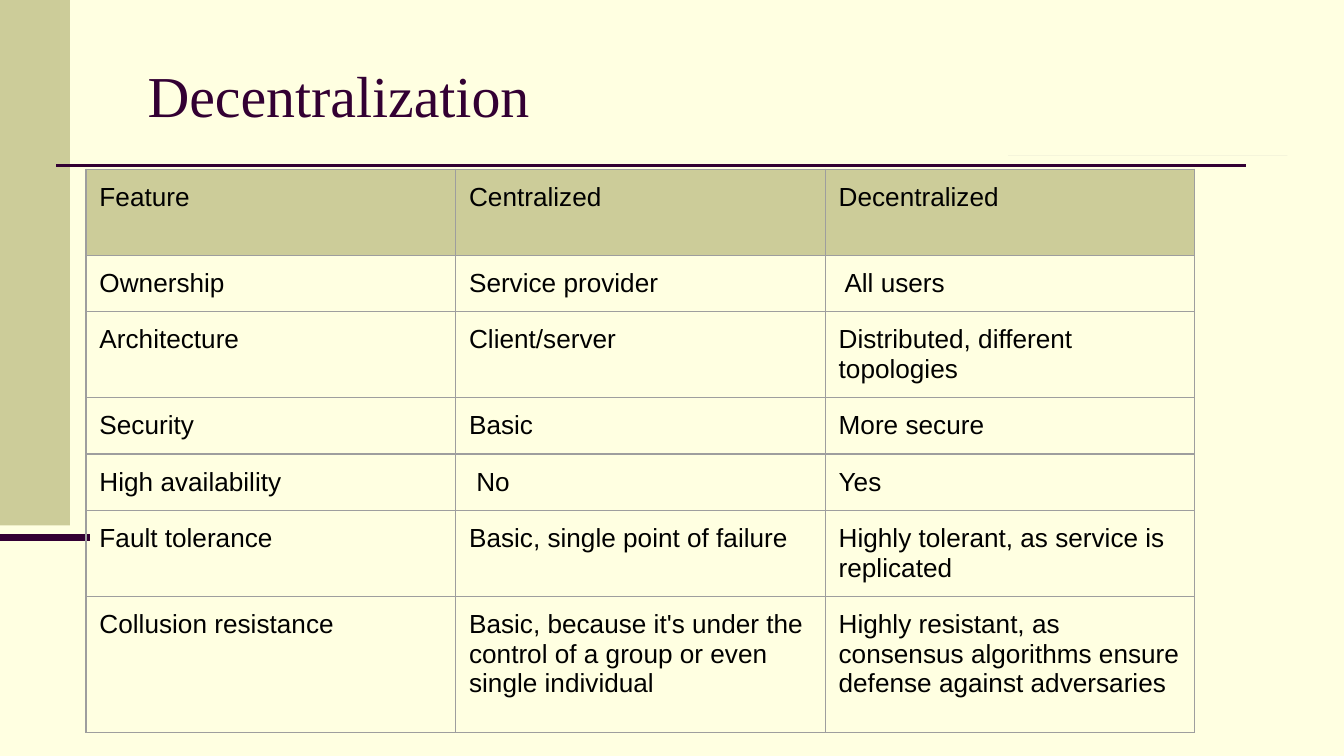
"""Build a slide comparing centralized and decentralized systems in a table."""
from lxml import etree
from pptx import Presentation
from pptx.dml.color import RGBColor
from pptx.enum.shapes import MSO_CONNECTOR, MSO_SHAPE
from pptx.enum.text import MSO_ANCHOR
from pptx.oxml.ns import qn
from pptx.util import Inches, Pt

RECTANGLE = MSO_SHAPE.RECTANGLE
STRAIGHT = MSO_CONNECTOR.STRAIGHT
MIDDLE = MSO_ANCHOR.MIDDLE

COLORS = {"cream": "FFFFE1", "khaki": "CCCC99", "silver": "B2B2B2",
          "plum": "330033", "border": "9E9E9E", "black": "000000"}

TITLE = "Decentralization"
ROWS = [
    ("Feature", "Centralized", "Decentralized"),
    ("Ownership", "Service provider", " All users"),
    ("Architecture", "Client/server", "Distributed, different topologies"),
    ("Security", "Basic", "More secure"),
    ("High availability", " No", "Yes"),
    ("Fault tolerance", "Basic, single point of failure",
     "Highly tolerant, as service is replicated"),
    ("Collusion resistance",
     "Basic, because it's under the control of a group or even single individual",
     "Highly resistant, as consensus algorithms ensure defense against adversaries"),
]
ROW_HEIGHTS = [0.64, 0.42, 0.64, 0.42, 0.42, 0.64, 1.01]
COLUMN_WIDTH = 2.75
TABLE_LEFT, TABLE_TOP = 0.64, 1.26

BANDS = [((0, 0, 0.52, 3.91), "khaki"), ((7.5, 1.16, 2.08, 0), "silver")]
RULES = [((0.42, 1.23, 9.27, 1.23), 1.5), ((0, 4, 0.67, 4), 3.5)]

TITLE_FONT = {"name": "Times New Roman", "size": Pt(31)}
CELL_FONT = {"name": "Arial", "size": Pt(14), "bold": False}
CELL_MARGINS = {"margin_left": Inches(0.1), "margin_right": Inches(0.1),
                "margin_top": Inches(0.1), "margin_bottom": Inches(0.07)}


def color(name):
    return RGBColor.from_string(COLORS[name])


def write(frame, text, font_format, color_name):
    para = frame.paragraphs[0]
    span = para.add_run()
    span.text = text
    for key, value in font_format.items():
        setattr(span.font, key, value)
    span.font.color.rgb = color(color_name)
    ending = etree.SubElement(para._p, qn("a:endParaRPr"),
                              sz=str(int(font_format["size"].pt * 100)))
    etree.SubElement(ending, qn("a:latin"), typeface=font_format["name"])


def add_band(page, bounds, color_name):
    band = page.shapes.add_shape(RECTANGLE, *map(Inches, bounds))
    band.shadow.inherit = False
    band.fill.solid()
    band.fill.fore_color.rgb = color(color_name)
    band.line.fill.background()


def add_rule(page, ends, weight):
    rule = page.shapes.add_connector(STRAIGHT, *map(Inches, ends))
    rule.line.color.rgb = color("plum")
    rule.line.width = Pt(weight)
    etree.SubElement(rule._element.spPr, qn("a:effectLst"))


def add_title(page):
    box = page.shapes.add_textbox(*map(Inches, (1, 0.23, 8.5, 0.94)))
    box.text_frame.word_wrap = True
    box.text_frame.vertical_anchor = MIDDLE
    write(box.text_frame, TITLE, TITLE_FONT, "plum")


def add_borders(cell):
    properties = cell._tc.get_or_add_tcPr()
    for position, side in enumerate(("a:lnL", "a:lnR", "a:lnT", "a:lnB")):
        line = etree.Element(qn(side), w=str(Pt(0.75)))
        fill = etree.SubElement(line, qn("a:solidFill"))
        etree.SubElement(fill, qn("a:srgbClr"), val=COLORS["border"])
        properties.insert(position, line)


def add_comparison(page):
    columns = len(ROWS[0])
    size = (COLUMN_WIDTH * columns, sum(ROW_HEIGHTS))
    table = page.shapes.add_table(
        len(ROWS), columns, *map(Inches, (TABLE_LEFT, TABLE_TOP, *size))).table
    table.horz_banding = False
    for column in table.columns:
        column.width = Inches(COLUMN_WIDTH)
    for row, height in zip(table.rows, ROW_HEIGHTS):
        row.height = Inches(height)
    for row_index, texts in enumerate(ROWS):
        for column_index, text in enumerate(texts):
            cell = table.cell(row_index, column_index)
            for key, value in CELL_MARGINS.items():
                setattr(cell, key, value)
            if row_index == 0:
                cell.fill.solid()
                cell.fill.fore_color.rgb = color("khaki")
            else:
                cell.fill.background()
            add_borders(cell)
            write(cell.text_frame, text, CELL_FONT, "black")


def main():
    deck = Presentation()
    deck.slide_width = Inches(10)
    deck.slide_height = deck.slide_width * 9 // 16
    page = deck.slides.add_slide(deck.slide_layouts[6])
    page.background.fill.solid()
    page.background.fill.fore_color.rgb = color("cream")
    for bounds, color_name in BANDS:
        add_band(page, bounds, color_name)
    for ends, weight in RULES:
        add_rule(page, ends, weight)
    add_title(page)
    add_comparison(page)
    deck.save("out.pptx")


if __name__ == "__main__":
    main()
